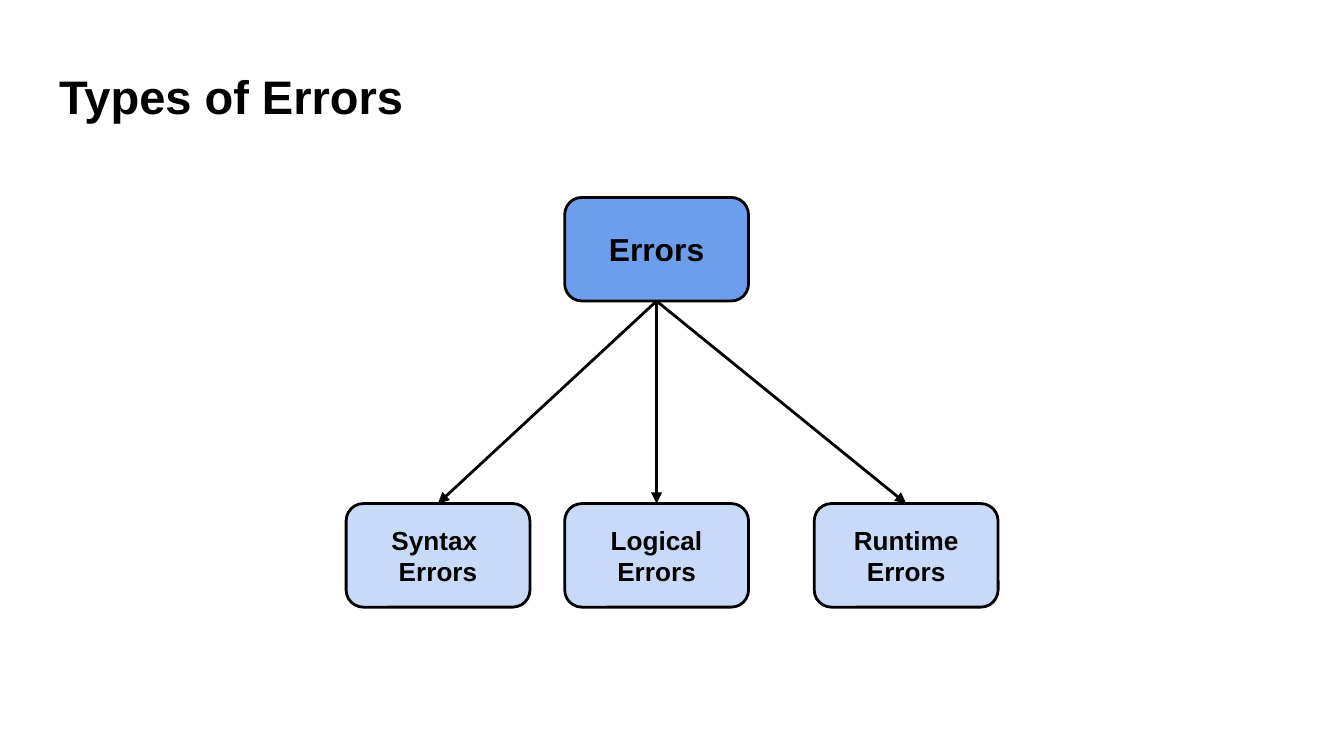
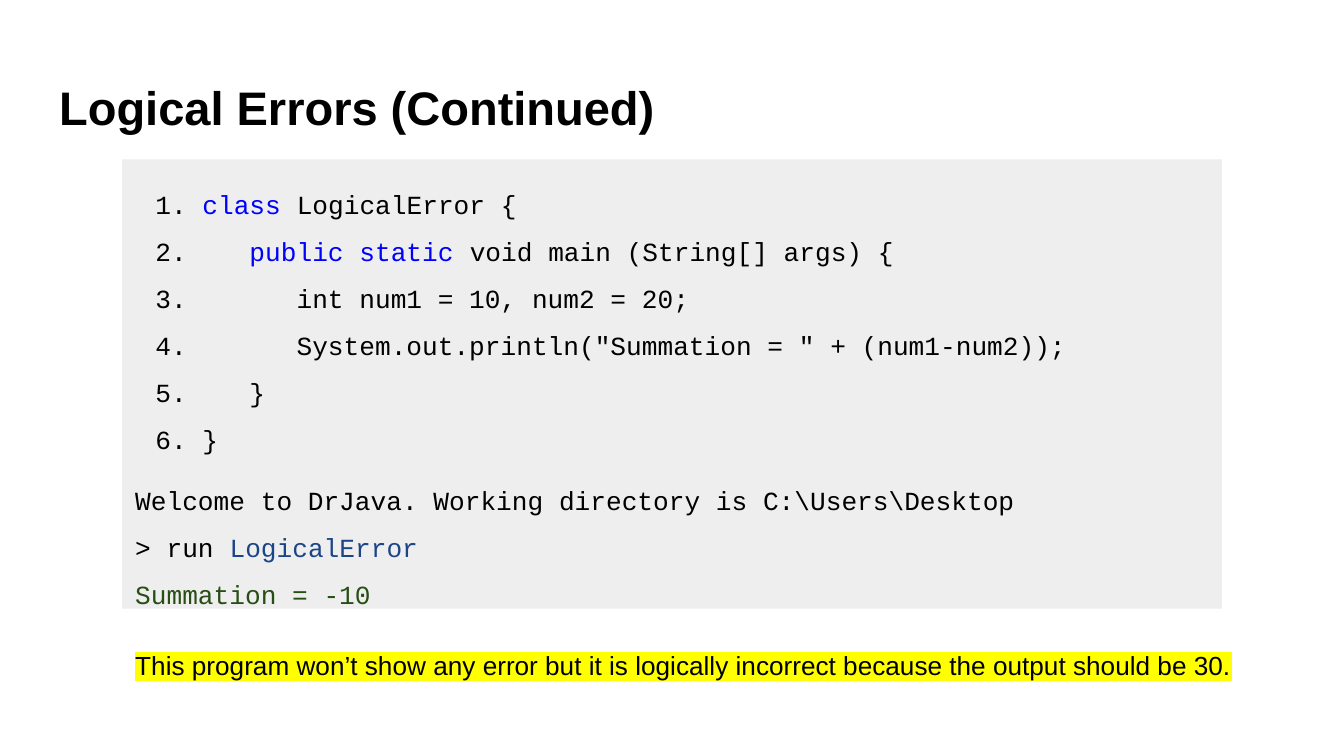
"""Build two slides on types of programming errors."""
from lxml.etree import SubElement
from pptx import Presentation
from pptx.dml.color import RGBColor
from pptx.enum.shapes import MSO_CONNECTOR as Link, MSO_SHAPE as Shape
from pptx.enum.text import MSO_ANCHOR as Anchor, MSO_AUTO_SIZE as Fit, PP_ALIGN as Align
from pptx.oxml.ns import qn
from pptx.util import Pt

COLORS = {
    "black": "000000", "root": "6D9EEB", "leaf": "C9DAF8", "panel": "EEEEEE",
    "keyword": "0000FF", "name": "1C4587", "output": "274E13", "marker": "FFFF00",
}
TITLE = {"size": Pt(25.2), "name": "Arial", "bold": True}
ROOT = {"size": Pt(17), "name": "Arial", "bold": True}
LEAF = {"size": Pt(14), "name": "Arial", "bold": True}
CODE = {"size": Pt(14), "name": "Courier New", "bold": False}
NOTE = {"size": Pt(14), "name": "Arial", "bold": False}


def write(box, lines, font, anchor=Anchor.TOP, align=Align.LEFT, spacing=1.0):
    """Fill a box with lines made of (text, colour) spans."""
    frame = box.text_frame
    layout = {"word_wrap": True, "auto_size": Fit.NONE, "vertical_anchor": anchor}
    layout.update({f"margin_{side}": Pt(7.2) for side in ("left", "top", "right", "bottom")})
    for key, value in layout.items():
        setattr(frame, key, value)
    for index, line in enumerate(lines):
        para = frame.add_paragraph() if index else frame.paragraphs[0]
        for key, value in {"alignment": align, "line_spacing": spacing}.items():
            setattr(para, key, value)
        for text, color in line:
            span = para.add_run()
            span.text = text
            span.font.color.rgb = RGBColor.from_string(COLORS[color])
            for key, value in font.items():
                setattr(span.font, key, value)


def add_box(page, kind, place, fill, outlined=False):
    """Add a flat filled shape."""
    box = page.shapes.add_shape(kind, *map(Pt, place))
    box.shadow.inherit = False
    box.fill.solid()
    box.fill.fore_color.rgb = RGBColor.from_string(COLORS[fill])
    if outlined:
        box.line.color.rgb = RGBColor.from_string(COLORS["black"])
        box.line.width = Pt(1.5)
    else:
        box.line.fill.background()
    return box


deck = Presentation()
deck.slide_width, deck.slide_height = Pt(720), Pt(405)

pages = []
for heading, top in (("Types of Errors", 28.8), ("Logical Errors (Continued)", 35)):
    page = deck.slides.add_slide(deck.slide_layouts[5])
    title = page.shapes.title
    place = {"left": 24.5, "top": top, "width": 671, "height": 45.4}
    for key, value in place.items():
        setattr(title, key, Pt(value))
    write(title, [[(heading, "black")]], TITLE)
    pages.append(page)
tree_page, code_page = pages

box_size = (98.5, 55.5)
centered = {"anchor": Anchor.MIDDLE, "align": Align.CENTER}
root = add_box(tree_page, Shape.ROUNDED_RECTANGLE, (302.5, 105.8, *box_size), "root", True)
write(root, [[("Errors", "black")]], ROOT, **centered)

for kind, left in (("Syntax ", 185.4), ("Logical", 302.5), ("Runtime", 436.2)):
    leaf = add_box(tree_page, Shape.ROUNDED_RECTANGLE, (left, 269.8, *box_size), "leaf", True)
    write(leaf, [[(kind, "black")], [("Errors", "black")]], LEAF, **centered)
    arrow = tree_page.shapes.add_connector(Link.STRAIGHT, 0, 0, 0, 0)
    arrow.begin_connect(root, 2)
    arrow.end_connect(leaf, 0)
    arrow.line.color.rgb = RGBColor.from_string(COLORS["black"])
    arrow.line.width = Pt(1.5)
    outline = arrow.element.spPr.find(qn("a:ln"))
    SubElement(outline, qn("a:tailEnd"), type="triangle")
    SubElement(arrow.element.spPr, qn("a:effectLst"))

listing = [
    [("class", "keyword"), (" LogicalError {", "black")],
    [("   public static", "keyword"), (" void main (String[] args) {", "black")],
    [("      int num1 = 10, num2 = 20;", "black")],
    [('      System.out.println("Summation = " + (num1-num2));', "black")],
    [("   }", "black")],
    [("}", "black")],
]
source = add_box(code_page, Shape.RECTANGLE, (65.4, 85.4, 589.2, 159), "panel")
write(source, listing, CODE, spacing=1.5)
for para in source.text_frame.paragraphs:
    props = para._p.get_or_add_pPr()
    props.set("marL", str(Pt(36)))
    props.set("indent", str(Pt(-25.2)))
    tint = SubElement(props, qn("a:buClr"))
    SubElement(tint, qn("a:srgbClr"), val=COLORS["black"])
    SubElement(props, qn("a:buFont"), typeface="Courier New")
    SubElement(props, qn("a:buAutoNum"), type="arabicPeriod")

session = [
    [("Welcome to DrJava. Working directory is C:\\Users\\Desktop", "black")],
    [("> run ", "black"), ("LogicalError", "name")],
    [("Summation = -10", "output")],
]
console = add_box(code_page, Shape.RECTANGLE, (65.4, 244.1, 589.2, 82), "panel")
write(console, session, CODE, spacing=1.5)

remark = "This program won’t show any error but it is logically incorrect because the output should be 30."
note = code_page.shapes.add_textbox(*map(Pt, (65.4, 340.6, 604, 31.7)))
write(note, [[(remark, "black")]], NOTE)
span_props = note.text_frame.paragraphs[0].runs[0]._r.get_or_add_rPr()
highlight = SubElement(span_props, qn("a:highlight"))
SubElement(highlight, qn("a:srgbClr"), val=COLORS["marker"])
span_props.find(qn("a:solidFill")).addnext(highlight)

deck.save("out.pptx")
